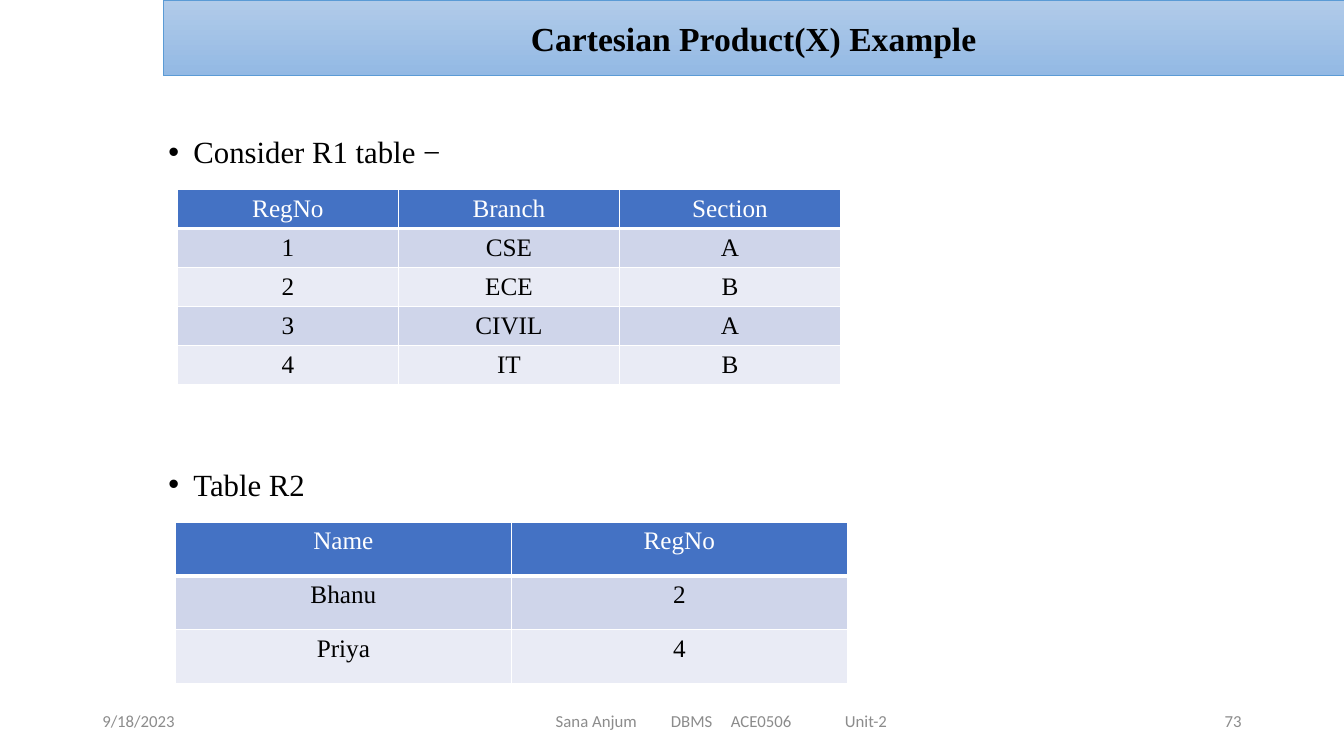
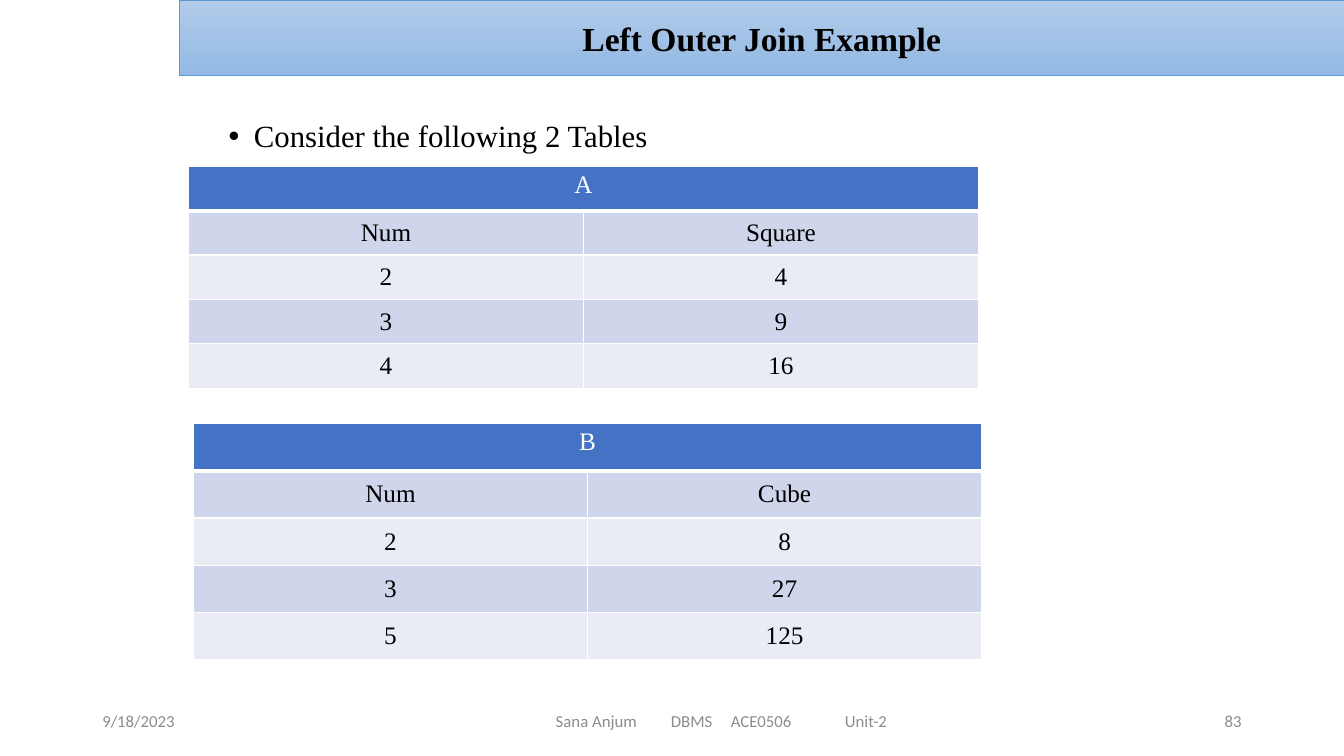
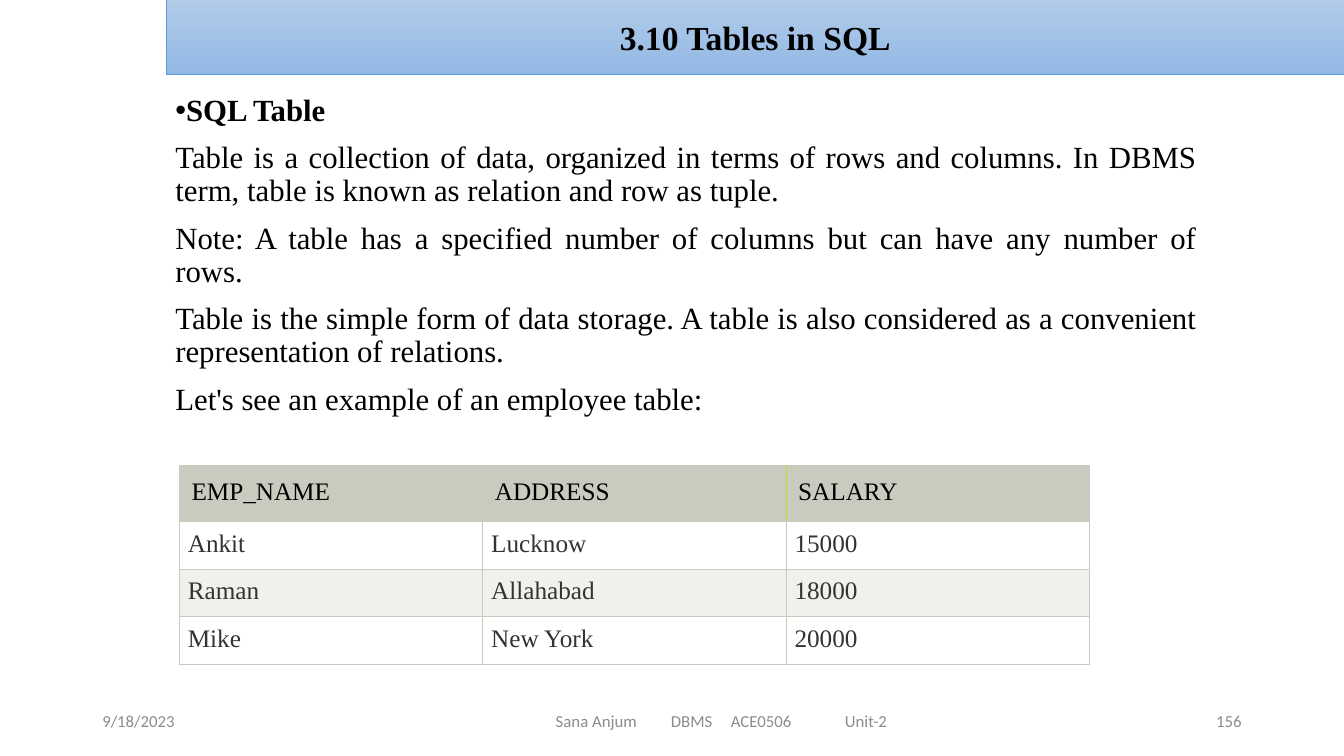
from lxml.etree import SubElement
from pptx import Presentation
from pptx.dml.color import RGBColor
from pptx.enum.text import MSO_ANCHOR as Anchor, MSO_AUTO_SIZE as AutoSize, PP_ALIGN as Align
from pptx.oxml.ns import qn
from pptx.util import Pt

# Colours and fonts
BLACK = RGBColor(0x00, 0x00, 0x00)
WHITE = RGBColor(0xFF, 0xFF, 0xFF)
FOOTER_GREY = RGBColor(0x8C, 0x8C, 0x8C)
BAND_TOP = RGBColor(0xB1, 0xCB, 0xE9)
BAND_BOTTOM = RGBColor(0x93, 0xB9, 0xE4)
BAND_LINE = RGBColor(0x5B, 0x9B, 0xD5)
HEADER_BLUE = RGBColor(0x44, 0x72, 0xC4)
ROW_DARK = RGBColor(0xCF, 0xD5, 0xEA)
ROW_LIGHT = RGBColor(0xE9, 0xEB, 0xF5)
SAGE = RGBColor(0xC7, 0xCC, 0xBE)
SAGE_LIGHT = RGBColor(0xEF, 0xF1, 0xEB)
LIME = RGBColor(0xC0, 0xE1, 0x28)
DARK_GREY = RGBColor(0x33, 0x33, 0x33)

SERIF = "Times New Roman"
TITLE_FONT = {"name": SERIF, "size": Pt(24), "bold": True}
BODY_FONT = {"name": SERIF, "size": Pt(22), "bold": False}
CELL_FONT = {"name": SERIF, "size": Pt(18), "bold": False}
FOOTER_FONT = {"name": "Calibri", "size": Pt(12)}

# Table looks: header and body text, fills, borders (points), cell insets
BLUE_LOOK = {
    "text": (WHITE, BLACK), "header": HEADER_BLUE, "bands": (ROW_DARK, ROW_LIGHT),
    "border": WHITE, "width": 1, "header_bottom": 3, "align": Align.CENTER, "insets": None,
}
SAGE_LOOK = {
    "text": (BLACK, DARK_GREY), "header": SAGE, "bands": (WHITE, SAGE_LIGHT),
    "border": SAGE, "width": 0.75, "header_bottom": 0.75, "align": Align.LEFT, "insets": (8.6, 6),
}


def write(paragraph, text, color, font_format, align):
    paragraph.alignment = align
    run = paragraph.add_run()
    run.text = text
    for attribute, value in font_format.items():
        setattr(run.font, attribute, value)
    run.font.color.rgb = color


def add_grid(slide, left, top, column_width, row_heights, rows, look, body_anchor):
    columns = len(rows[0])
    grid = slide.shapes.add_table(len(rows), columns, Pt(left), Pt(top),
                                  Pt(column_width * columns), Pt(sum(row_heights))).table
    grid.first_row = grid.horz_banding = False
    for row, height in zip(grid.rows, row_heights):
        row.height = Pt(height)
    for r, values in enumerate(rows):
        is_body = r > 0
        for c, value in enumerate(values):
            cell = grid.cell(r, c)
            # Borders come before the fill in the cell properties
            properties = cell._tc.get_or_add_tcPr()
            for side in "LRTB":
                thick = side == "B" and not is_body
                width = look["header_bottom"] if thick else look["width"]
                edge = SubElement(properties, qn(f"a:ln{side}"), w=str(Pt(width)))
                SubElement(SubElement(edge, qn("a:solidFill")), qn("a:srgbClr"),
                           val=str(look["border"]))
            cell.fill.solid()
            cell.fill.fore_color.rgb = look["bands"][(r - 1) % 2] if is_body else look["header"]
            cell.vertical_anchor = body_anchor if is_body else Anchor.TOP
            if look["insets"]:
                for side in ("left", "right", "top", "bottom"):
                    setattr(cell, f"margin_{side}", Pt(look["insets"][is_body]))
            if value:
                write(cell.text_frame.paragraphs[0], value, look["text"][is_body],
                      CELL_FONT, look["align"])
    if not rows[0][-1]:
        grid.cell(0, 0).merge(grid.cell(0, columns - 1))
    return grid


# Slide contents: boxes are left, top, width, height;
# body lines are text, bulleted, bold, space before
SLIDES = [
    {"title": "Cartesian Product(X) Example", "number": "73",
     "band": (116.6, 0, 843.4, 54), "body": (113, 94.3, 692.6, 384.5),
     "indent": 18, "align": Align.LEFT,
     "lines": [("Consider R1 table −", True, False, 0), ("Table R2", True, False, 213.7)],
     "grids": [
         (126.7, 135.4, 157.9, [27.9] * 5,
          [("RegNo", "Branch", "Section"), ("1", "CSE", "A"), ("2", "ECE", "B"),
           ("3", "CIVIL", "A"), ("4", "IT", "B")], BLUE_LOOK, Anchor.TOP),
         (125.3, 373, 240, [38.4] * 3,
          [("Name", "RegNo"), ("Bhanu", "2"), ("Priya", "4")], BLUE_LOOK, Anchor.TOP)]},
    {"title": "Left Outer Join Example", "number": "83",
     "band": (128.2, 0, 831.8, 54), "body": (156.2, 82.8, 648, 399.6),
     "indent": 18, "align": Align.LEFT,
     "lines": [("Consider the following 2 Tables", True, False, 0)],
     "grids": [
         (134.6, 118.8, 282.2, [31.7] * 5,
          [("A", ""), ("Num", "Square"), ("2", "4"), ("3", "9"), ("4", "16")],
          BLUE_LOOK, Anchor.MIDDLE),
         (138.2, 302.4, 281.5, [33.8] * 5,
          [("B", ""), ("Num", "Cube"), ("2", "8"), ("3", "27"), ("5", "125")],
          BLUE_LOOK, Anchor.MIDDLE)]},
    {"title": "3.10 Tables in SQL", "number": "156",
     "band": (118.8, -0.7, 841.2, 54), "body": (118.1, 64.1, 743.8, 414),
     "indent": 0, "align": Align.JUSTIFY,
     "lines": [
         ("SQL Table", True, True, 0),
         ("Table is a collection of data, organized in terms of rows and columns. "
          "In DBMS term, table is known as relation and row as tuple.", False, False, 10),
         ("Note: A table has a specified number of columns but can have any number of rows.",
          False, False, 10),
         ("Table is the simple form of data storage. A table is also considered as a "
          "convenient representation of relations.", False, False, 10),
         ("Let's see an example of an employee table:", False, False, 10)],
     "grids": [
         (128.2, 332.6, 216.7, [39.9, 34, 34, 34],
          [("EMP_NAME", "ADDRESS", "SALARY"), ("Ankit", "Lucknow", "15000"),
           ("Raman", "Allahabad", "18000"), ("Mike", "New York", "20000")],
          SAGE_LOOK, Anchor.TOP)]},
]
COURSE = "Sana Anjum\tDBMS\tACE0506\tUnit-2"
COURSE_TABS = (82.2, 125, 206.5)

deck = Presentation()
deck.slide_width, deck.slide_height = Pt(960), Pt(540)

for content in SLIDES:
    slide = deck.slides.add_slide(deck.slide_layouts[1])
    title, body = slide.shapes.title, slide.placeholders[1]
    for holder, box in ((title, content["band"]), (body, content["body"])):
        holder.left, holder.top, holder.width, holder.height = map(Pt, box)
        holder.text_frame.auto_size = AutoSize.NONE

    # Title band
    title.fill.gradient()
    title.fill.gradient_angle = 270
    for stop, color in zip(title.fill.gradient_stops, (BAND_TOP, BAND_BOTTOM)):
        stop.color.rgb = color
    title.line.color.rgb = BAND_LINE
    title.line.width = Pt(0.5)
    title.text_frame.vertical_anchor = Anchor.MIDDLE
    write(title.text_frame.paragraphs[0], content["title"], BLACK, TITLE_FONT, Align.CENTER)

    # Body text
    for i, (text, bulleted, bold, space) in enumerate(content["lines"]):
        frame = body.text_frame
        line = frame.add_paragraph() if i else frame.paragraphs[0]
        properties = line._p.get_or_add_pPr()
        properties.set("marL", str(Pt(content["indent"])))
        properties.set("indent", str(-Pt(content["indent"])))
        if bulleted:
            SubElement(properties, qn("a:buFont"), typeface="Arial")
            SubElement(properties, qn("a:buChar"), char="•")
        else:
            SubElement(properties, qn("a:buNone"))
        line.line_spacing = 0.9
        line.space_before = Pt(space)
        write(line, text, BLACK, {**BODY_FONT, "bold": bold}, content["align"])

    # Tables
    for grid_values in content["grids"]:
        grid = add_grid(slide, *grid_values)
        if grid_values[5] is SAGE_LOOK:
            # Lime divider between ADDRESS and SALARY
            for column, side in ((1, "R"), (2, "L")):
                edge = grid.cell(0, column)._tc.tcPr.find(qn(f"a:ln{side}"))
                edge.find(".//" + qn("a:srgbClr")).set("val", str(LIME))

    # Footer: date, course, page number
    for left, width, inset, text, align in (
            (66, 216, 7.2, "9/18/2023", Align.LEFT),
            (318, 396, 79, COURSE, Align.LEFT),
            (678, 216, 7.2, content["number"], Align.RIGHT)):
        frame = slide.shapes.add_textbox(Pt(left), Pt(500.6), Pt(width), Pt(28.8)).text_frame
        frame.word_wrap = True
        frame.vertical_anchor = Anchor.MIDDLE
        frame.margin_left = Pt(inset)
        footer = frame.paragraphs[0]
        if text == COURSE:
            tabs = SubElement(footer._p.get_or_add_pPr(), qn("a:tabLst"))
            for position in COURSE_TABS:
                SubElement(tabs, qn("a:tab"), pos=str(Pt(position)), algn="l")
        write(footer, text, FOOTER_GREY, FOOTER_FONT, align)

deck.save("out.pptx")
